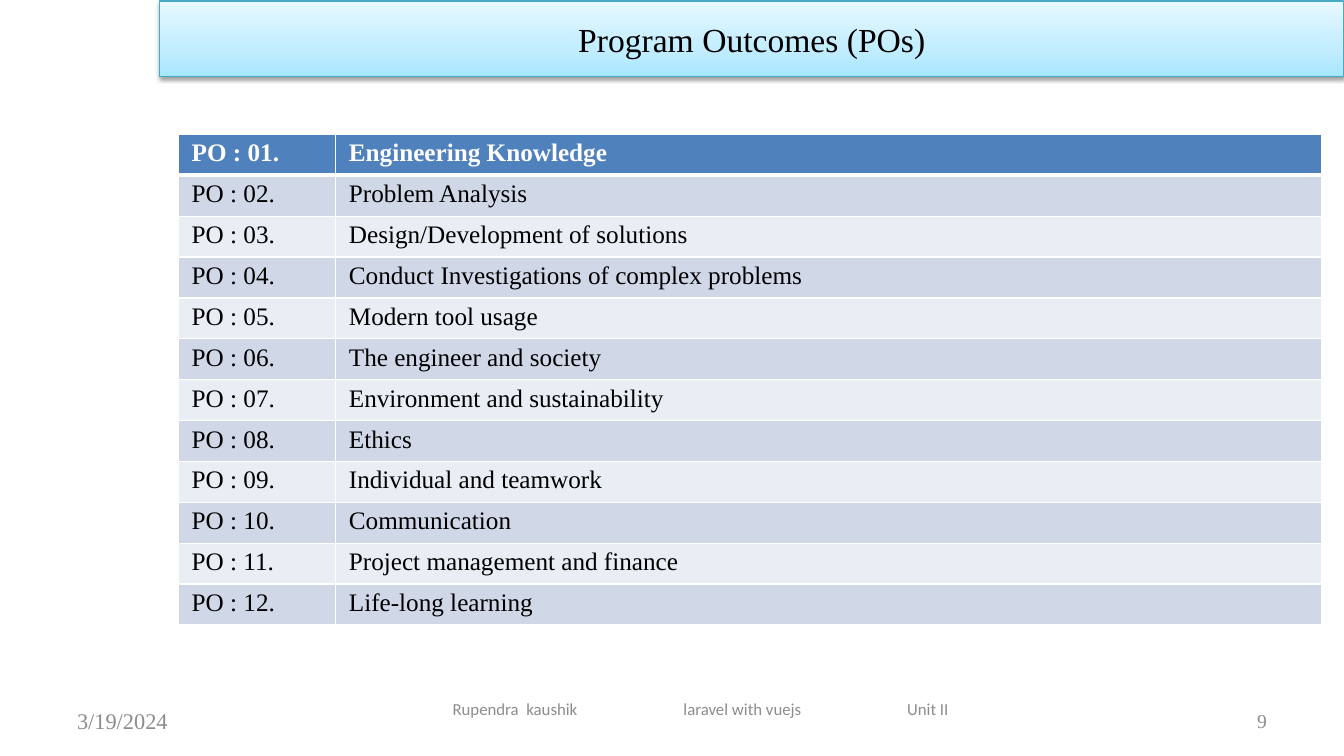
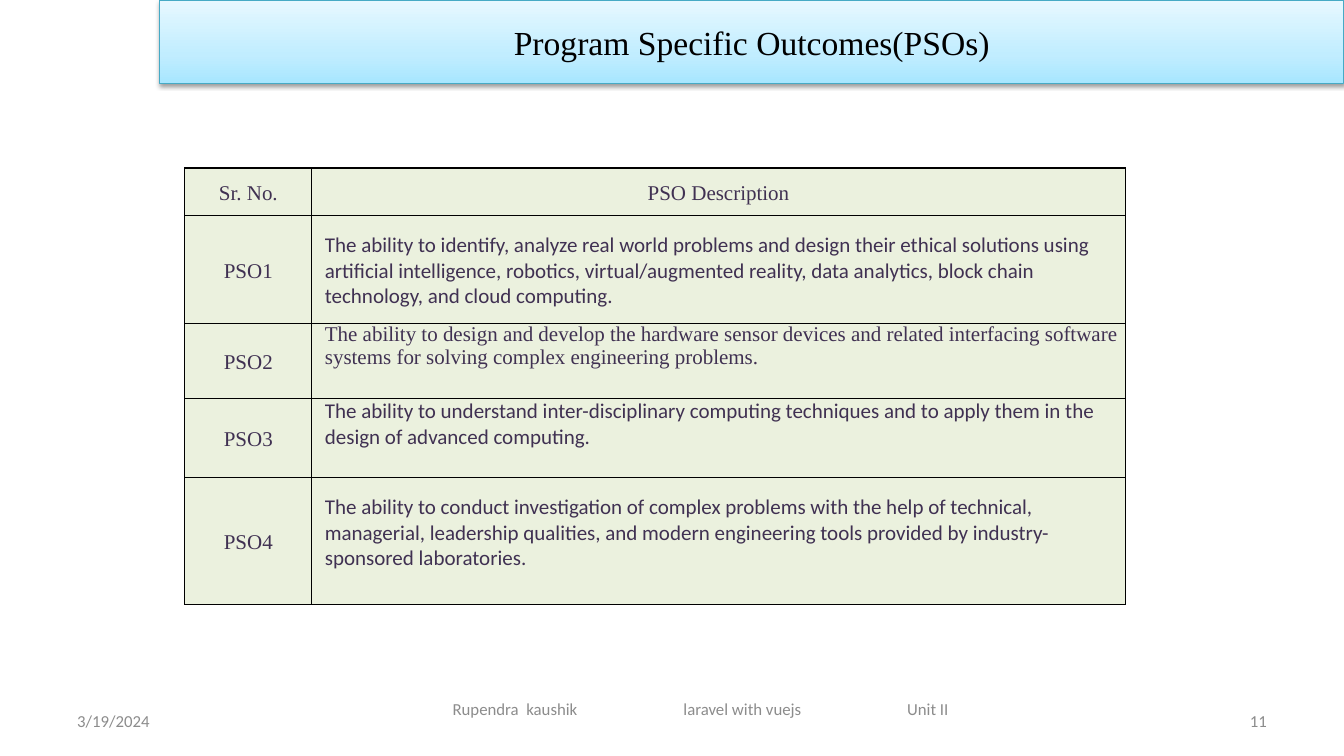
from dataclasses import dataclass, replace

from lxml.etree import SubElement
from pptx import Presentation
from pptx.dml.color import RGBColor
from pptx.enum.text import MSO_ANCHOR, MSO_AUTO_SIZE, PP_ALIGN
from pptx.oxml import parse_xml
from pptx.oxml.ns import nsdecls, qn
from pptx.util import Emu, Inches, Pt


class Theme:
    serif, sans = "Times New Roman", "Calibri"
    black, white, grey, plum = "000000", "FFFFFF", "8C8C8C", "403152"
    head, dark, light, green = "4F81BD", "D0D8E8", "E9EDF4", "EBF1DE"
    edge = "46AAC5"
    fade = ((0, "A7E6FF"), (35, "C1EDFF"), (100, "E7F8FF"))
    title, large, body, foot = 24, 18, 15, 12


@dataclass(frozen=True)
class Look:
    face: str
    size: int
    color: str
    bold: bool = False
    align: PP_ALIGN = PP_ALIGN.LEFT
    anchor: MSO_ANCHOR = MSO_ANCHOR.MIDDLE
    inset: tuple = (0.1, 0.05, 0.1, 0.05)
    space: float = 1.0
    fill: str = ""


def area(*sides):
    """Turn left, top, width, height on a 120 by 90 grid into lengths."""
    return [Emu(round(n * unit)) for n, unit in zip(sides, (COL, ROW, COL, ROW))]


def write(frame, text, look):
    """Put one styled run into a text frame."""
    para = frame.paragraphs[0]
    para.alignment, para.line_spacing = look.align, look.space
    run = para.add_run()
    run.text = text
    font = run.font
    font.name, font.size, font.bold = look.face, Pt(look.size), look.bold
    font.color.rgb = RGBColor.from_string(look.color)
    return para


deck = Presentation()
deck.slide_width, deck.slide_height = Emu(12192000), Emu(6858000)
COL, ROW = deck.slide_width // 120, deck.slide_height // 90

TITLE = Look(Theme.serif, Theme.title, Theme.black, align=PP_ALIGN.CENTER)
FOOT = Look(Theme.sans, Theme.foot, Theme.grey)
PLAIN = Look(Theme.serif, Theme.large, Theme.black, anchor=MSO_ANCHOR.TOP,
             inset=(0.13, 0.05, 0.13, 0.05))
HEAD = replace(PLAIN, color=Theme.white, bold=True, fill=Theme.head)
LABEL = Look(Theme.serif, Theme.body, Theme.plum, align=PP_ALIGN.CENTER,
             inset=(0.06, 0, 0.06, 0), space=1.15, fill=Theme.green)
PROSE = Look(Theme.sans, Theme.body, Theme.plum, anchor=MSO_ANCHOR.TOP,
             inset=(0.13, 0, 0.06, 0), fill=Theme.green)
LOWER = replace(PROSE, inset=(0.13, 0.17, 0.06, 0))

goals = [
    "Engineering Knowledge", "Problem Analysis", "Design/Development of solutions",
    "Conduct Investigations of complex problems", "Modern tool usage",
    "The engineer and society", "Environment and sustainability", "Ethics",
    "Individual and teamwork", "Communication", "Project management and finance",
    "Life-long learning",
]
bands = (replace(PLAIN, fill=Theme.light), replace(PLAIN, fill=Theme.dark))
po = []
for i, goal in enumerate(goals):
    look = bands[i % 2] if i else HEAD
    po.append([(f"PO : {i + 1:02}.", look), (goal, look)])

skills = [
    ("The ability to identify, analyze real world problems and design their ethical "
     "solutions using artificial intelligence, robotics, virtual/augmented reality, "
     "data analytics, block chain technology, and cloud computing.", LOWER),
    ("The ability to design and develop the hardware sensor devices and related "
     "interfacing software systems for solving complex engineering problems.",
     replace(PROSE, face=Theme.serif)),
    ("The ability to understand inter-disciplinary computing techniques and to apply "
     "them in the design of advanced computing.", PROSE),
    ("The ability to conduct investigation of complex problems with the help of "
     "technical, managerial, leadership qualities, and modern engineering tools "
     "provided by industry-sponsored laboratories.", LOWER),
]
pso = [[("Sr. No.", LABEL), ("PSO Description", LABEL)]]
for i, skill in enumerate(skills, 1):
    pso.append([(f"PSO{i}", LABEL), skill])

pages = [
    dict(title="Program Outcomes (POs)", band=(14.25, 0.12, 105.75, 9),
         date=replace(FOOT, face=Theme.serif, size=16), num="9",
         count=replace(FOOT, face=Theme.serif, size=14),
         cells=po, spot=(15.95, 16), cols=(14.04, 88.02), rows=[4.87] * 12,
         rule=Theme.white, thick=3),
    dict(title="Program Specific Outcomes(PSOs)", band=(14.25, 0, 105.75, 10),
         date=FOOT, num="11", count=FOOT,
         cells=pso, spot=(16.5, 20), cols=(11.34, 72.63),
         rows=(5.64, 12.84, 9, 9.36, 15.12), rule=Theme.black, thick=1),
]

for page in pages:
    slide = deck.slides.add_slide(deck.slide_layouts[5])

    # Title band
    title = slide.shapes.title
    title.left, title.top, title.width, title.height = area(*page["band"])
    stops = "".join(f'<a:gs pos="{pos * 1000}"><a:srgbClr val="{tone}"/></a:gs>'
                    for pos, tone in Theme.fade)
    props = title.element.spPr
    props.append(parse_xml(
        f'<a:gradFill {nsdecls("a")} rotWithShape="1"><a:gsLst>{stops}</a:gsLst>'
        '<a:lin ang="16200000" scaled="0"/></a:gradFill>'))
    title.line.color.rgb = RGBColor.from_string(Theme.edge)
    title.line.width = Pt(0.75)
    props.append(parse_xml(
        f'<a:effectLst {nsdecls("a")}><a:outerShdw blurRad="{Pt(3.1)}" dist="{Pt(1.6)}" '
        f'dir="5400000" rotWithShape="0"><a:srgbClr val="{Theme.black}">'
        '<a:alpha val="38000"/></a:srgbClr></a:outerShdw></a:effectLst>'))
    frame = title.text_frame
    frame.auto_size, frame.word_wrap = MSO_AUTO_SIZE.NONE, True
    frame.vertical_anchor = TITLE.anchor
    write(frame, page["title"], TITLE)

    # Table
    cells, cols, rows = page["cells"], page["cols"], page["rows"]
    place = area(*page["spot"], sum(cols), sum(rows))
    table = slide.shapes.add_table(len(rows), len(cols), *place).table
    for col, wide in zip(table.columns, cols):
        col.width = Emu(round(wide * COL))
    for r, (row, tall) in enumerate(zip(table.rows, rows)):
        row.height = Emu(round(tall * ROW))
        for cell, (text, look) in zip(row.cells, cells[r]):
            props = cell._tc.get_or_add_tcPr()
            for side in "LRTB":
                under = (r, side) in ((0, "B"), (1, "T"))
                wide = Pt(page["thick"] if under else 1)
                line = SubElement(props, qn(f"a:ln{side}"), w=str(wide))
                fill = SubElement(line, qn("a:solidFill"))
                SubElement(fill, qn("a:srgbClr"), val=page["rule"])
            cell.fill.solid()
            cell.fill.fore_color.rgb = RGBColor.from_string(look.fill)
            cell.vertical_anchor = look.anchor
            (cell.margin_left, cell.margin_top,
             cell.margin_right, cell.margin_bottom) = map(Inches, look.inset)
            write(cell.text_frame, text, look)

    # Footer
    credit = "Rupendra  kaushik\tlaravel with vuejs\tUnit II"
    notes = [
        ((6, 83.4, 28, 4.8), "3/19/2024", page["date"], ()),
        ((86, 83.4, 28, 4.8), page["num"],
         replace(page["count"], align=PP_ALIGN.RIGHT), ()),
        ((33.75, 82, 57.75, 4.8), credit,
         replace(FOOT, inset=(0.74, 0.05, 0.1, 0.05)), (2.29, 4.51)),
    ]
    for sides, text, look, tabs in notes:
        frame = slide.shapes.add_textbox(*area(*sides)).text_frame
        frame.word_wrap, frame.vertical_anchor = True, look.anchor
        frame.margin_left = Inches(look.inset[0])
        para = write(frame, text, look)
        if tabs:
            stops = SubElement(para._p.get_or_add_pPr(), qn("a:tabLst"))
            for tab in tabs:
                SubElement(stops, qn("a:tab"), pos=str(Inches(tab)), algn="l")

deck.save("out.pptx")
